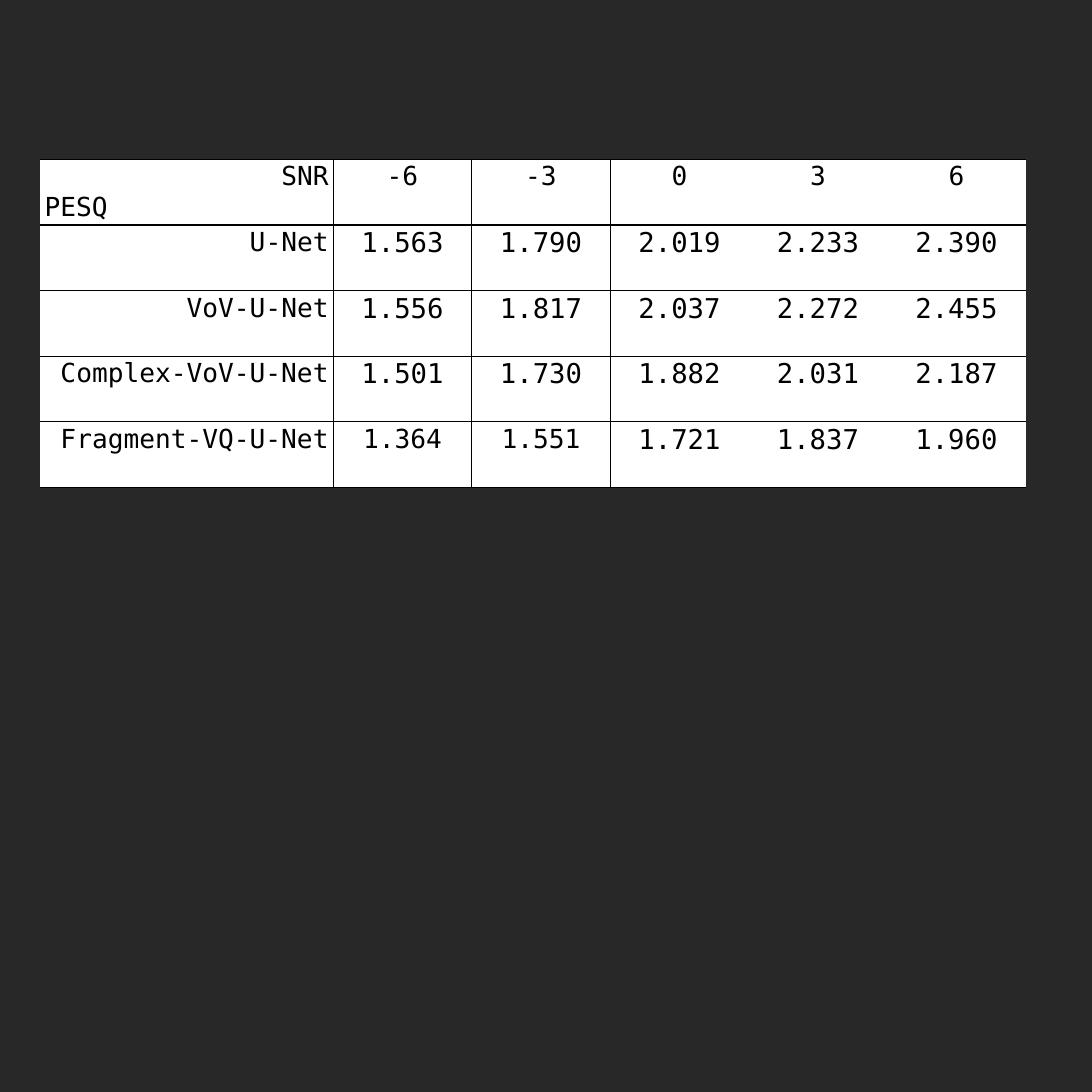
"""Build a slide with a table of PESQ scores by model and SNR."""
from dataclasses import dataclass

from lxml import etree
from pptx import Presentation
from pptx import util as u
from pptx.dml.color import RGBColor
from pptx.enum import text
from pptx.oxml.ns import qn


@dataclass(frozen=True)
class Theme:
    background: RGBColor = RGBColor.from_string("282828")
    cell: RGBColor = RGBColor.from_string("FFFFFF")
    ink: RGBColor = RGBColor.from_string("000000")
    font: str = "DejaVu Sans Mono"
    label_size: float = 40.8
    value_size: float = 42.5
    rule: float = 1.5
    header_rule: float = 3


THEME = Theme()
PX = u.Inches(1) / 46.2
NO_STYLE = "{2D5ABB26-0587-4C30-8999-92F81FD0307C}"


def px(n):
    return u.Emu(round(n * PX))


def add_border(cell, side, width):
    ln = etree.SubElement(cell._tc.get_or_add_tcPr(), qn(f"a:ln{side}"), w=str(u.Pt(width)))
    fill = etree.SubElement(ln, qn("a:solidFill"))
    etree.SubElement(fill, qn("a:srgbClr"), val=str(THEME.ink))


rows = [
    ["SNR\nPESQ", "-6", "-3", "0", "3", "6"],
    ["U-Net", "1.563", "1.790", "2.019", "2.233", "2.390"],
    ["VoV-U-Net", "1.556", "1.817", "2.037", "2.272", "2.455"],
    ["Complex-VoV-U-Net", "1.501", "1.730", "1.882", "2.031", "2.187"],
    ["Fragment-VQ-U-Net", "1.364", "1.551", "1.721", "1.837", "1.960"],
]
small_values = {"1.364", "1.551"}
left, top, width, height, label_width = 40, 159, 985, 328, 293

prs = Presentation()
prs.slide_width = prs.slide_height = u.Inches(23.62)
s = prs.slides.add_slide(prs.slide_layouts[6])
s.background.fill.solid()
s.background.fill.fore_color.rgb = THEME.background

frame = s.shapes.add_table(len(rows), len(rows[0]), px(left), px(top), px(width), px(height))
table = frame.table
table.first_row = table.horz_banding = False
table._tbl.tblPr.find(qn("a:tableStyleId")).text = NO_STYLE
for c, column in enumerate(table.columns):
    column.width = px((width - label_width) / (len(rows[0]) - 1) if c else label_width)

for r, values in enumerate(rows):
    for c, value in enumerate(values):
        cell = table.cell(r, c)
        if c in (1, 2):
            add_border(cell, "L", THEME.rule)
        if c in (0, 1):
            add_border(cell, "R", THEME.rule)
        add_border(cell, "T", THEME.header_rule if r == 1 else THEME.rule)
        add_border(cell, "B", THEME.header_rule if r == 0 else THEME.rule)
        cell.fill.solid()
        cell.fill.fore_color.rgb = THEME.cell
        cell.text_frame.text = value
        is_label = r == 0 or c == 0 or value in small_values
        for p in cell.text_frame.paragraphs:
            p.alignment = text.PP_ALIGN.CENTER if c else text.PP_ALIGN.RIGHT
            p.font.name = THEME.font
            p.font.size = u.Pt(THEME.label_size if is_label else THEME.value_size)
            p.font.color.rgb = THEME.ink

table.cell(0, 0).text_frame.paragraphs[1].alignment = text.PP_ALIGN.LEFT

prs.save("out.pptx")
